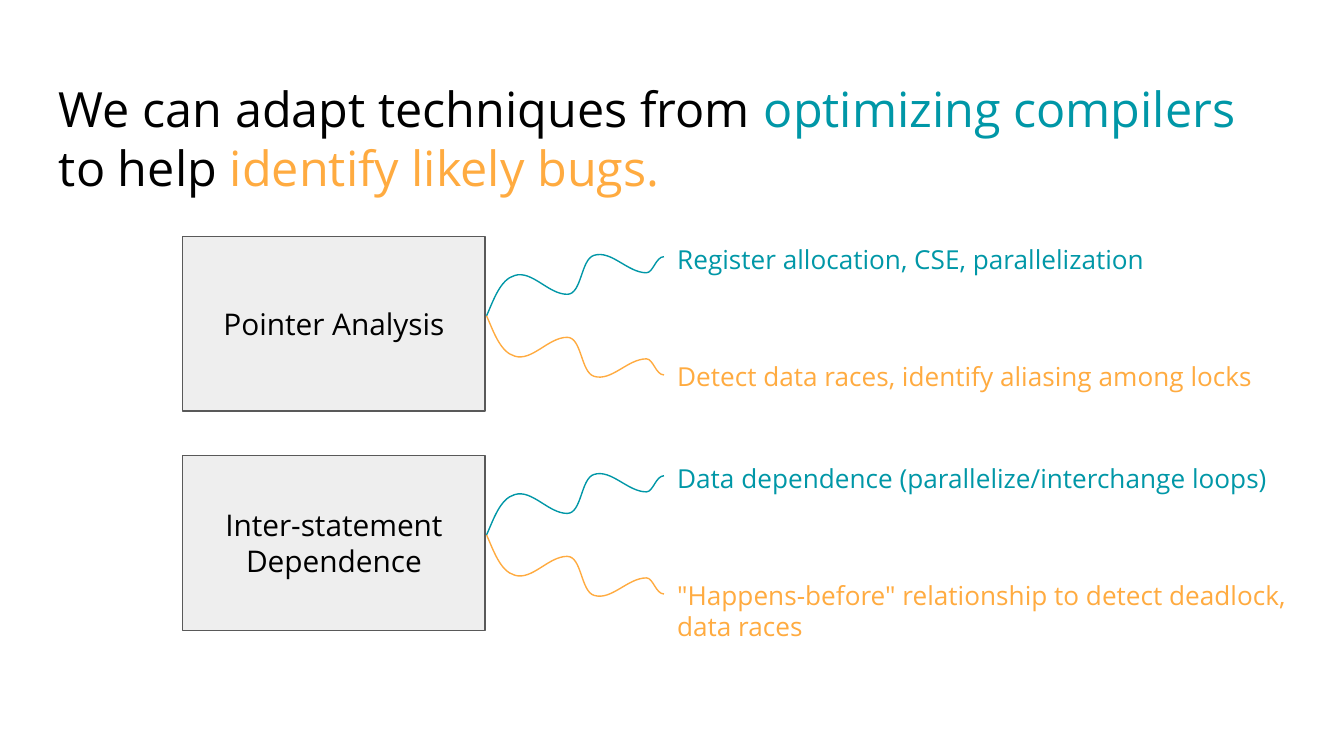
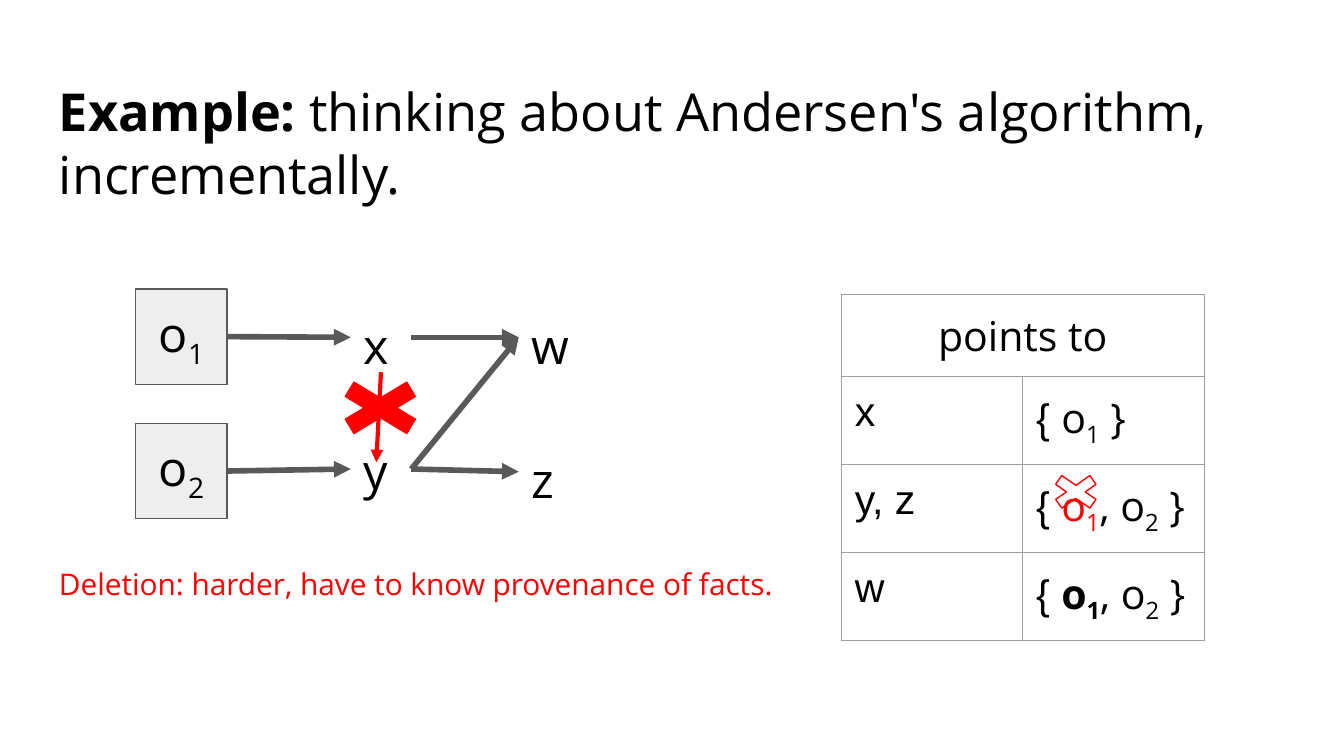
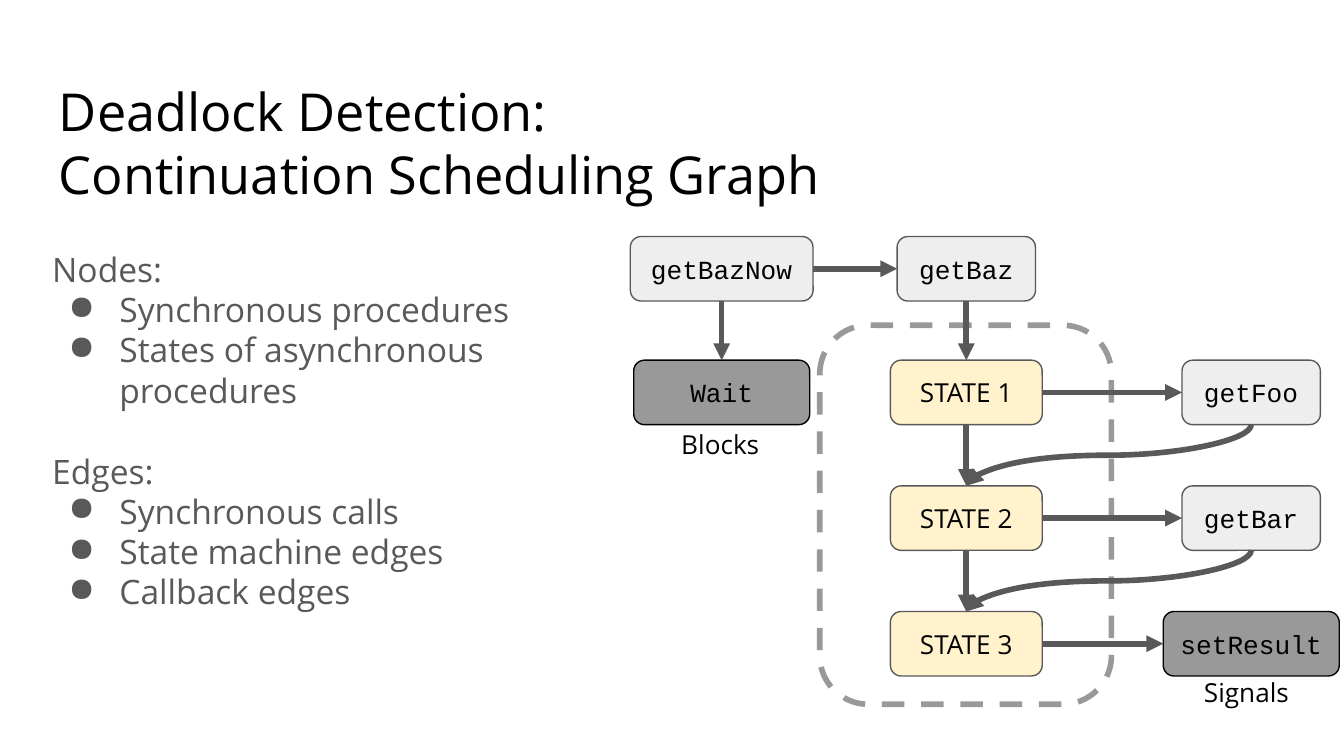
from lxml import etree
from pptx import Presentation
from pptx.dml.color import RGBColor
from pptx.enum.dml import MSO_LINE
from pptx.enum.shapes import MSO_CONNECTOR, MSO_SHAPE
from pptx.enum.text import MSO_ANCHOR, PP_ALIGN
from pptx.oxml.ns import qn
from pptx.util import Inches, Pt

RECT, ROUND = MSO_SHAPE.RECTANGLE, MSO_SHAPE.ROUNDED_RECTANGLE
CROSS = MSO_SHAPE.MATH_MULTIPLY
LINE, CURVE = MSO_CONNECTOR.STRAIGHT, MSO_CONNECTOR.CURVE
DASH = MSO_LINE.DASH
CENTER, LEFT = PP_ALIGN.CENTER, PP_ALIGN.LEFT
MIDDLE, TOP = MSO_ANCHOR.MIDDLE, MSO_ANCHOR.TOP
UPPER, WEST, LOWER, EAST = range(4)

BLACK, GRAY, DARK, PALE = "000000", "999999", "595959", "EEEEEE"
TEAL, AMBER, CREAM, RED, RULE = "0097A7", "FFAB40", "FFF2CC", "FF0000", "9E9E9E"
SANS, ARIAL, MONO = "Open Sans", "Arial", "Courier New"

# The slide is a grid of 100 columns and 56.25 rows
COLS, ROWS = 100, 56.25
WIDTH, HEIGHT = Inches(10), Inches(5.625)
PAD = WIDTH // COLS
TITLE = (3.4, 4.9, 93.2, 11.5)


def grid(*nums):
    return [round(num * WIDTH / COLS) for num in nums]


def inside(box, x, y, w, h):
    return box[0] + x, box[1] + y, w, h


def color(code):
    return RGBColor.from_string(code)


def write(host, paras, size=14, font=SANS, ink=BLACK, align=LEFT, anchor=TOP,
          space=None, gaps=None, bullets=()):
    """Each paragraph is a string or a list of (text, changes) runs."""
    frame = host.text_frame
    frame.word_wrap = True
    holder = host if hasattr(host, "margin_left") else frame
    holder.vertical_anchor = anchor
    holder.margin_left = holder.margin_right = PAD
    holder.margin_top = holder.margin_bottom = PAD
    for i, runs in enumerate(paras):
        para = frame.add_paragraph() if i else frame.paragraphs[0]
        para.alignment = align
        if space:
            para.line_spacing = space
        if gaps and i in gaps:
            para.space_before = Pt(gaps[i])
        if i in bullets:
            bullet(para)
        for words, look in [(runs, {})] if isinstance(runs, str) else runs:
            run = para.add_run()
            run.text = words
            run.font.size = Pt(size)
            run.font.name = look.get("font", font)
            run.font.bold = look.get("bold", False)
            run.font.color.rgb = color(look.get("ink", ink))
            if look.get("sub"):
                run.font._element.set("baseline", "-25000")


def bullet(para):
    props = para._p.get_or_add_pPr()
    props.set("marL", str(Inches(0.5)))
    props.set("indent", str(-Inches(0.38)))
    etree.SubElement(props, qn("a:buChar")).set("char", "●")


def label(slide, area, paras, **look):
    item = slide.shapes.add_textbox(*grid(*area))
    write(item, paras, **look)
    return item


def stroke(item, ink, weight):
    item.line.color.rgb = color(ink)
    item.line.width = Pt(weight)


def shape(slide, kind, area, fill=None, ink=DARK, weight=0.75, paras=None, **look):
    item = slide.shapes.add_shape(kind, *grid(*area))
    item.shadow.inherit = False
    if fill:
        item.fill.solid()
        item.fill.fore_color.rgb = color(fill)
    else:
        item.fill.background()
    stroke(item, ink, weight)
    if paras:
        write(item, paras, align=CENTER, anchor=MIDDLE, **look)
    return item


def arrow(slide, start=None, end=None, ends=(0, 0, 0, 0), kind=LINE, ink=DARK,
          weight=3):
    """start and end are (shape, side); ends gives any loose points in EMU."""
    item = slide.shapes.add_connector(kind, *ends)
    if start:
        item.begin_connect(*start)
    if end:
        item.end_connect(*end)
    stroke(item, ink, weight)
    props = item.element.spPr
    etree.SubElement(props.find(qn("a:ln")), qn("a:tailEnd")).set("type", "triangle")
    etree.SubElement(props, qn("a:effectLst"))
    return item


def page(deck, paras, size=28):
    slide = deck.slides.add_slide(deck.slide_layouts[6])
    label(slide, TITLE, paras, size=size)
    return slide


# Slide 1: techniques and their two uses
WAVE = [(0.5, 1.1), (1, 2.7), (2.1, 3), (3.4, 3.4), (4.6, 1.6), (6, 1.6),
        (7.1, 1.6), (7, 4.2), (8, 4.5), (9.3, 4.9), (10.5, 3.2), (11.9, 3.2),
        (12.4, 3.2), (12.6, 4.4), (13.2, 4.4)]


def wave(slide, x, y, turn, ink):
    pen = slide.shapes.build_freeform(*grid(x, y))
    pen.add_line_segments([grid(x + dx, y + turn * dy) for dx, dy in WAVE], close=False)
    item = pen.convert_to_shape()
    item.shadow.inherit = False
    item.fill.background()
    stroke(item, ink, 0.75)
    # Every three points become one Bezier segment
    track = next(item.element.iter(qn("a:path")))
    legs = track.findall(qn("a:lnTo"))
    for i in range(0, len(legs), 3):
        bend = etree.SubElement(track, qn("a:cubicBezTo"))
        for leg in legs[i:i + 3]:
            bend.append(leg[0])
            track.remove(leg)


def branch(slide, box, name, uses):
    shape(slide, RECT, inside(box, 0, 0, 22.5, 13), PALE, paras=[name], size=16)
    for use, ink, turn, y in zip(uses, (TEAL, AMBER), (-1, 1), (-0.5, 8.2)):
        wave(slide, box[0] + 22.6, box[1] + 5.9, turn, ink)
        label(slide, inside(box, 35.8, y, 49.6, 4.1), [use], ink=ink)


def adapt(deck):
    slide = page(deck, [[
        ("We can adapt techniques from ", {}),
        ("optimizing compilers", {"ink": TEAL}), (" to help ", {}),
        ("identify likely bugs.", {"ink": AMBER})]], size=26)
    rows = [
        ("Pointer Analysis", ("Register allocation, CSE, parallelization",
                              "Detect data races, identify aliasing among locks")),
        ("Inter-statement Dependence",
         ("Data dependence (parallelize/interchange loops)",
          '"Happens-before" relationship to detect deadlock, data races'))]
    for i, (name, uses) in enumerate(rows):
        branch(slide, (13.6, 17.6 + 16.3 * i, 85.4, 13), name, uses)


# Slide 2: points-to graph and table
def node(num, lead="o", **look):
    return [(lead, look), (num, {"sub": True, **look})]


def flow(slide, box):
    one, two = [shape(slide, RECT, inside(box, 0, 10 * i, 6.8, 7.1), PALE,
                      paras=[node(str(i + 1))], size=26) for i in range(2)]
    spots = {"x": (16, 1, 5.2), "y": (16, 10.3, 6.2),
             "w": (28.5, 1, 5.2), "z": (28.5, 11, 5.2)}
    x, y, w, z = [label(slide, inside(box, left, top, 4.5, high), [name], size=26)
                  for name, (left, top, high) in spots.items()]
    for start, end in [(one, x), (two, y), (x, w), (y, z), (y, w)]:
        arrow(slide, (start, EAST), (end, WEST))
    # Deleted edge
    tip = grid(box[0] + 17.9, box[1] + 12.9)
    arrow(slide, (x, LOWER), ends=tip + tip, ink=RED, weight=2.25)
    shape(slide, CROSS, inside(box, 13.8, 6.2, 8.8, 5.3), RED, ink=RED)


def border(cell):
    props = cell._tc.get_or_add_tcPr()
    for side in ("a:lnL", "a:lnR", "a:lnT", "a:lnB"):
        edge = etree.SubElement(props, qn(side), w=str(Pt(0.75)))
        fill = etree.SubElement(edge, qn("a:solidFill"))
        etree.SubElement(fill, qn("a:srgbClr"), val=RULE)


def facts(slide, box):
    plain = {"font": ARIAL}
    start, stop = ("{ ", plain), (" }", {})
    rows = [
        ["points to", None],
        [[("x", plain)], [start, *node("1"), stop]],
        [[("y, z", plain)],
         [start, *node("1", ink=RED), *node("2", ", o"), stop]],
        [[("w", plain)],
         [start, *node("1", bold=True), *node("2", ", o"), stop]]]
    table = slide.shapes.add_table(len(rows), 2, *grid(*box)).table
    table.first_row = table.horz_banding = False
    for col in table.columns:
        col.width = grid(box[2] / 2)[0]
    for i, row in enumerate(rows):
        table.rows[i].height = grid(6.55 if i else 6.1)[0]
        for j, runs in enumerate(row):
            cell = table.cell(i, j)
            border(cell)
            cell.fill.background()
            if runs:
                write(cell, [runs], size=22, align=LEFT if i else CENTER)
    table.cell(0, 0).merge(table.cell(0, 1))
    shape(slide, CROSS, inside(box, 15, 13, 4.9, 3.4), ink=RED)


def example(deck):
    slide = page(deck, [[
        ("Example:", {"bold": True}),
        (" thinking about Andersen's algorithm, incrementally.", {})]])
    flow(slide, (10.1, 21.5, 33, 17.1))
    facts(slide, (62.6, 21.9, 27, 25.75))
    label(slide, (3.4, 40.7, 56.9, 9.2),
          ["Deletion: harder, have to know provenance of facts."],
          size=16, ink=RED, space=1.15)


# Slide 3: scheduling graph
def loop(slide, start, end):
    """Curve from the lower side of start to the upper side of end."""
    x1, y1 = start.left + start.width // 2, start.top + start.height
    x2, y2 = end.left + end.width // 2, end.top
    midx, midy = (x1 + x2) // 2, (y1 + y2) // 2
    halfw, halfh = (y2 - y1) // 2, (x1 - x2) // 2
    item = arrow(slide, kind=CURVE, ends=(midx - halfw, midy - halfh,
                                          midx + halfw, midy + halfh))
    item.element.spPr.xfrm.set("rot", "5400000")


def graph(slide, box):
    mids, high = (6.8, 25, 46.2), 4.8
    tops = [0] + [9.2 + 9.35 * i for i in range(3)]

    def state(name, col, row, wide, fill=PALE, ink=DARK, font=MONO):
        area = inside(box, mids[col] - wide / 2, tops[row], wide, high)
        return shape(slide, ROUND, area, fill, ink, paras=[name], font=font)

    # Nodes
    now = state("getBazNow", 0, 0, 13.6)
    baz = state("getBaz", 1, 0, 10.3)
    group = shape(slide, ROUND, inside(box, 14.1, 6.6, 21.7, 28.2), ink=GRAY, weight=3)
    group.line.dash_style = DASH
    steps = [state(f"STATE {i}", 1, i, 11.3, CREAM, font=SANS) for i in (1, 2, 3)]
    calls = [state("getFoo", 2, 1, 10.3), state("getBar", 2, 2, 10.3),
             state("setResult", 2, 3, 13.1, GRAY, BLACK)]
    wait = state("Wait", 0, 1, 13.1, GRAY, BLACK)
    # Edges
    for start, end in [(now, baz), *zip(steps, calls)]:
        arrow(slide, (start, EAST), (end, WEST))
    for start, end in [(now, wait), (baz, steps[0]), *zip(steps, steps[1:])]:
        arrow(slide, (start, LOWER), (end, UPPER))
    for call, step in zip(calls, steps[1:]):
        loop(slide, call, step)
    # Captions
    label(slide, inside(box, 2.8, 13.3, 7.9, 4.4), ["Blocks"])
    label(slide, inside(box, 41.7, 31.7, 9, 4.4), ["Signals"])


def deadlock(deck):
    slide = page(deck, ["Deadlock Detection:", "Continuation Scheduling Graph"])
    graph(slide, (46.9, 17.6, 52.7, 34.8))
    label(slide, (2.9, 17.5, 39, 34.9),
          ["Nodes:", "Synchronous procedures", "States of asynchronous procedures",
           "Edges:", "Synchronous calls", "State machine edges", "Callback edges"],
          size=18, ink=DARK, gaps={3: 21.7}, bullets=(1, 2, 4, 5, 6))


def main():
    deck = Presentation()
    deck.slide_width, deck.slide_height = WIDTH, HEIGHT
    for build in (adapt, example, deadlock):
        build(deck)
    deck.save("out.pptx")


if __name__ == "__main__":
    main()
